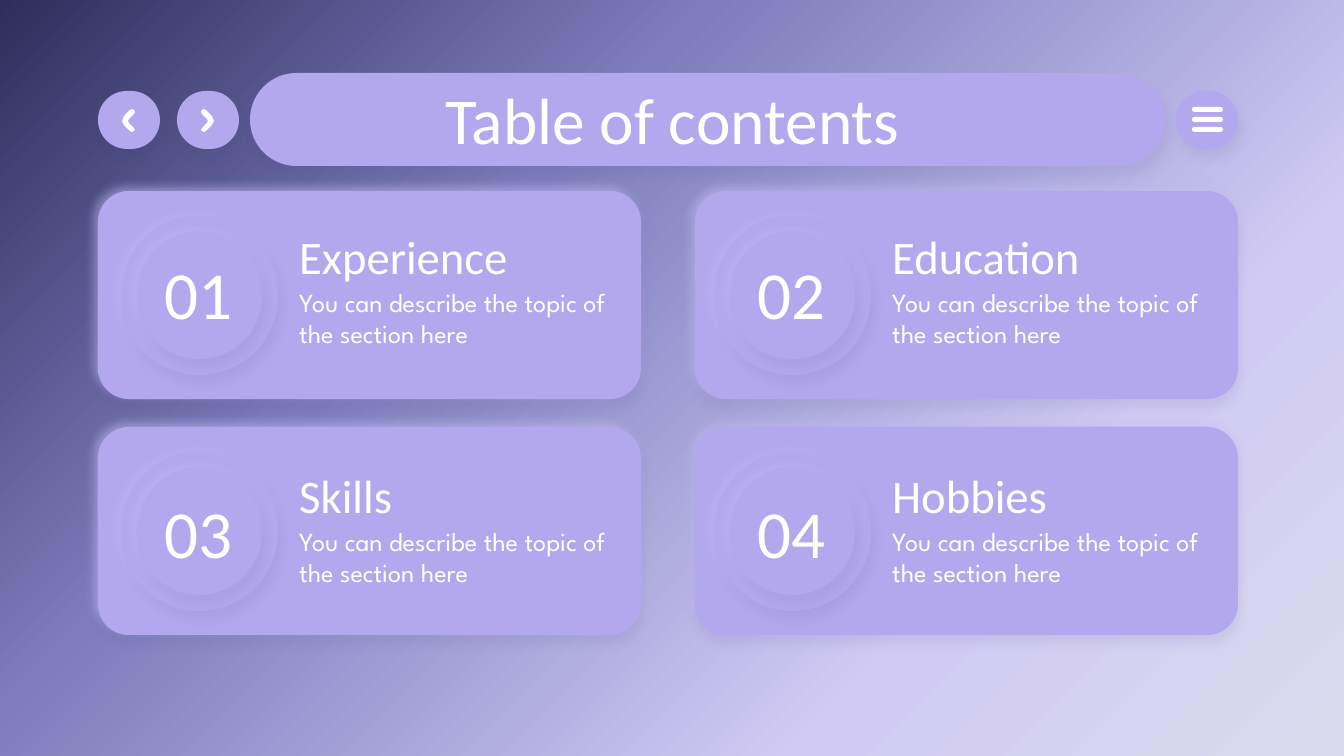
from dataclasses import dataclass

import lxml.etree
import pptx
import pptx.dml.color
import pptx.enum.shapes
import pptx.enum.text
import pptx.oxml.ns
import pptx.util

EMU_PER_PX = 914400 / 134.4
LILAC, WHITE = "B3A8ED", "FFFFFF"
HEADING_FONT, BODY_FONT = "Calibri", "League Spartan"
DESCRIPTION = "You can describe the topic of the section here"
BACKGROUND_STOPS = [(0, "2E2E5C"), (34, "7D7DBD"), (74, "D1CBF4"), (100, "DADAEC")]
SECTIONS = ["Experience", "Education", "Skills", "Hobbies"]
CHEVRON = [(3, 0), (1, 1), (0, 3), (1, 5), (6, 10), (7, 12), (6, 14), (1, 19),
           (0, 21), (1, 22), (3, 23), (5, 22), (11, 16), (13, 12), (11, 7), (5, 1)]
CHEVRON_WIDTH = 13
LEFT = pptx.enum.text.PP_ALIGN.LEFT
CENTER = pptx.enum.text.PP_ALIGN.CENTER


@dataclass(frozen=True)
class Box:
    left: int
    top: int
    width: int
    height: int

    def moved(self, right: int, down: int) -> "Box":
        return Box(self.left + right, self.top + down, self.width, self.height)


@dataclass(frozen=True)
class Shadow:
    color: str
    opacity: int
    distance: float
    angle: int


@dataclass(frozen=True)
class Panel:
    box: Box
    rounding: float
    shadow: Shadow


@dataclass(frozen=True)
class TextStyle:
    size: int
    font: str
    alignment: pptx.enum.text.PP_ALIGN


GLOW = Shadow("C4BBF5", 52, 3, 226)
SHADE = Shadow("3E3E7A", 8, 5.2, 66)
CARD_SHADE = Shadow("3E3E7A", 8, 5.2, 84)

TITLE_STYLE = TextStyle(35, HEADING_FONT, CENTER)
NUMBER_STYLE = TextStyle(36, HEADING_FONT, CENTER)
HEADING_STYLE = TextStyle(25, HEADING_FONT, LEFT)
BODY_STYLE = TextStyle(14, BODY_FONT, LEFT)

# First card; the others follow by column and row pitch.
CARD_PANELS = [
    Panel(Box(98, 191, 543, 208), 0.153, GLOW),
    Panel(Box(98, 191, 543, 208), 0.149, CARD_SHADE),
]
RING_PANELS = [
    Panel(Box(121, 219, 157, 156), 0.5, GLOW),
    Panel(Box(121, 215, 157, 160), 0.5, SHADE),
    Panel(Box(137, 234, 125, 125), 0.5, GLOW),
    Panel(Box(137, 231, 125, 128), 0.5, SHADE),
]
NUMBER_BOX = Box(138, 239, 122, 93)
HEADING_BOX = Box(286, 214, 355, 78)
BODY_BOX = Box(286, 273, 355, 71)
CARD_PITCH, CONTENT_PITCH = 597, 593
PANEL_ROW_PITCH, TEXT_ROW_PITCH = 236, 239


def px(length: float) -> pptx.util.Emu:
    return pptx.util.Emu(round(length * EMU_PER_PX))


def rgb(color: str) -> pptx.dml.color.RGBColor:
    return pptx.dml.color.RGBColor.from_string(color)


def add_child(parent, tag: str, **attributes):
    child = lxml.etree.SubElement(parent, pptx.oxml.ns.qn(tag))
    for name, value in attributes.items():
        child.set(name, str(value))
    return child


def place(shape, box: Box) -> None:
    shape.left, shape.top = px(box.left), px(box.top)
    shape.width, shape.height = px(box.width), px(box.height)


def paint(shape, color: str) -> None:
    shape.fill.solid()
    shape.fill.fore_color.rgb = rgb(color)
    shape.line.fill.background()
    shape.shadow.inherit = False


def paint_background(slide) -> None:
    fill = slide.background.fill
    fill.gradient()
    fill.gradient_angle = 315
    stops = next(slide.element.iter(pptx.oxml.ns.qn("a:gsLst")))
    for stop in list(stops):
        stops.remove(stop)
    for percent, color in BACKGROUND_STOPS:
        stop = add_child(stops, "a:gs", pos=percent * 1000)
        add_child(stop, "a:srgbClr", val=color)


def add_rounded(slide, box: Box, rounding: float, color: str):
    shape = slide.shapes.add_shape(
        pptx.enum.shapes.MSO_SHAPE.ROUNDED_RECTANGLE, 0, 0, 0, 0)
    place(shape, box)
    shape.adjustments[0] = rounding
    paint(shape, color)
    return shape


def add_panel(slide, panel: Panel) -> None:
    shape = add_rounded(slide, panel.box, panel.rounding, LILAC)
    effects = next(shape.element.iter(pptx.oxml.ns.qn("a:effectLst")))
    outer = add_child(effects, "a:outerShdw", blurRad=pptx.util.Pt(5.6),
                      dist=pptx.util.Pt(panel.shadow.distance),
                      dir=panel.shadow.angle * 60000, algn="bl", rotWithShape=0)
    color = add_child(outer, "a:srgbClr", val=panel.shadow.color)
    add_child(color, "a:alpha", val=panel.shadow.opacity * 1000)


def add_chevron(slide, left: int, top: int, mirrored: bool) -> None:
    points = [(left + (CHEVRON_WIDTH - x if mirrored else x), top + y)
              for x, y in CHEVRON]
    builder = slide.shapes.build_freeform(*points[0], scale=EMU_PER_PX)
    builder.add_line_segments(points[1:], close=True)
    paint(builder.convert_to_shape(), WHITE)


def write(shape, text: str, style: TextStyle) -> None:
    frame = shape.text_frame
    frame.text = text
    frame.word_wrap = True
    frame.auto_size = pptx.enum.text.MSO_AUTO_SIZE.NONE
    frame.vertical_anchor = pptx.enum.text.MSO_ANCHOR.TOP
    inset = pptx.util.Inches(0.1)
    frame.margin_left = frame.margin_right = inset
    frame.margin_top = frame.margin_bottom = inset
    para = frame.paragraphs[0]
    para.alignment = style.alignment
    font = para.runs[0].font
    font.size, font.name = pptx.util.Pt(style.size), style.font
    font.color.rgb = rgb(WHITE)


def add_text(slide, box: Box, text: str, style: TextStyle) -> None:
    shape = slide.shapes.add_textbox(0, 0, 0, 0)
    place(shape, box)
    write(shape, text, style)


def add_section(slide, index: int, heading: str) -> None:
    row, column = divmod(index, 2)
    for panels, pitch in ((CARD_PANELS, CARD_PITCH), (RING_PANELS, CONTENT_PITCH)):
        for panel in panels:
            box = panel.box.moved(column * pitch, row * PANEL_ROW_PITCH)
            add_panel(slide, Panel(box, panel.rounding, panel.shadow))
    for box, text, style in ((NUMBER_BOX, f"{index + 1:02}", NUMBER_STYLE),
                             (HEADING_BOX, heading, HEADING_STYLE),
                             (BODY_BOX, DESCRIPTION, BODY_STYLE)):
        moved = box.moved(column * CONTENT_PITCH, row * TEXT_ROW_PITCH)
        add_text(slide, moved, text, style)


def add_title_bar(slide) -> None:
    add_panel(slide, Panel(Box(250, 73, 915, 93), 0.5, SHADE))
    for left in (98, 177, 1176):
        add_panel(slide, Panel(Box(left, 91, 62, 58), 0.5, SHADE))
    add_chevron(slide, 122, 109, mirrored=True)
    add_chevron(slide, 201, 109, mirrored=False)
    for top in (107, 117, 127):
        add_rounded(slide, Box(1192, top, 31, 5), 0.5, WHITE)
    title = slide.shapes.title
    place(title, Box(106, 66, 1133, 85))
    write(title, "Table of contents", TITLE_STYLE)
    slide.shapes.element.append(title.element)  # bring in front of the bar


def main() -> None:
    deck = pptx.Presentation()
    deck.slide_width, deck.slide_height = px(1344), px(756)
    slide = deck.slides.add_slide(deck.slide_layouts[5])
    paint_background(slide)
    add_title_bar(slide)
    for index, heading in enumerate(SECTIONS):
        add_section(slide, index, heading)
    deck.save("out.pptx")


if __name__ == "__main__":
    main()
